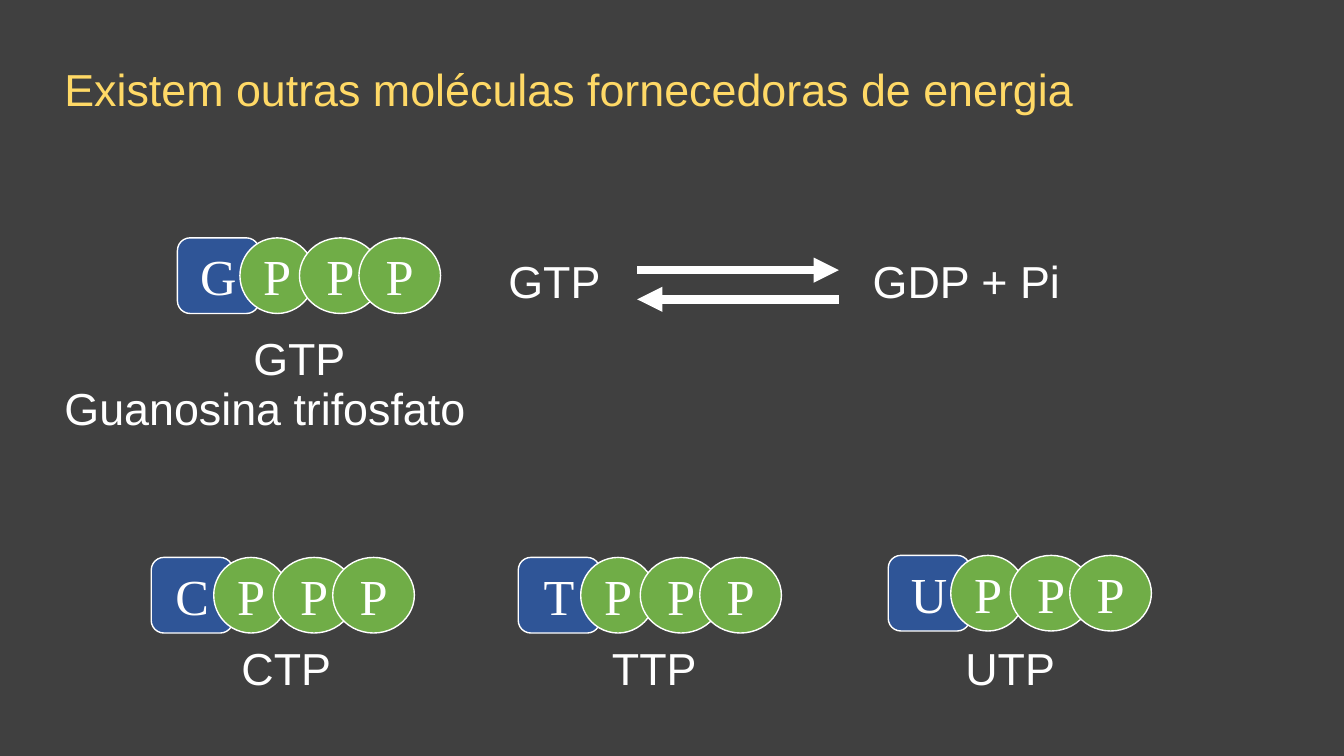
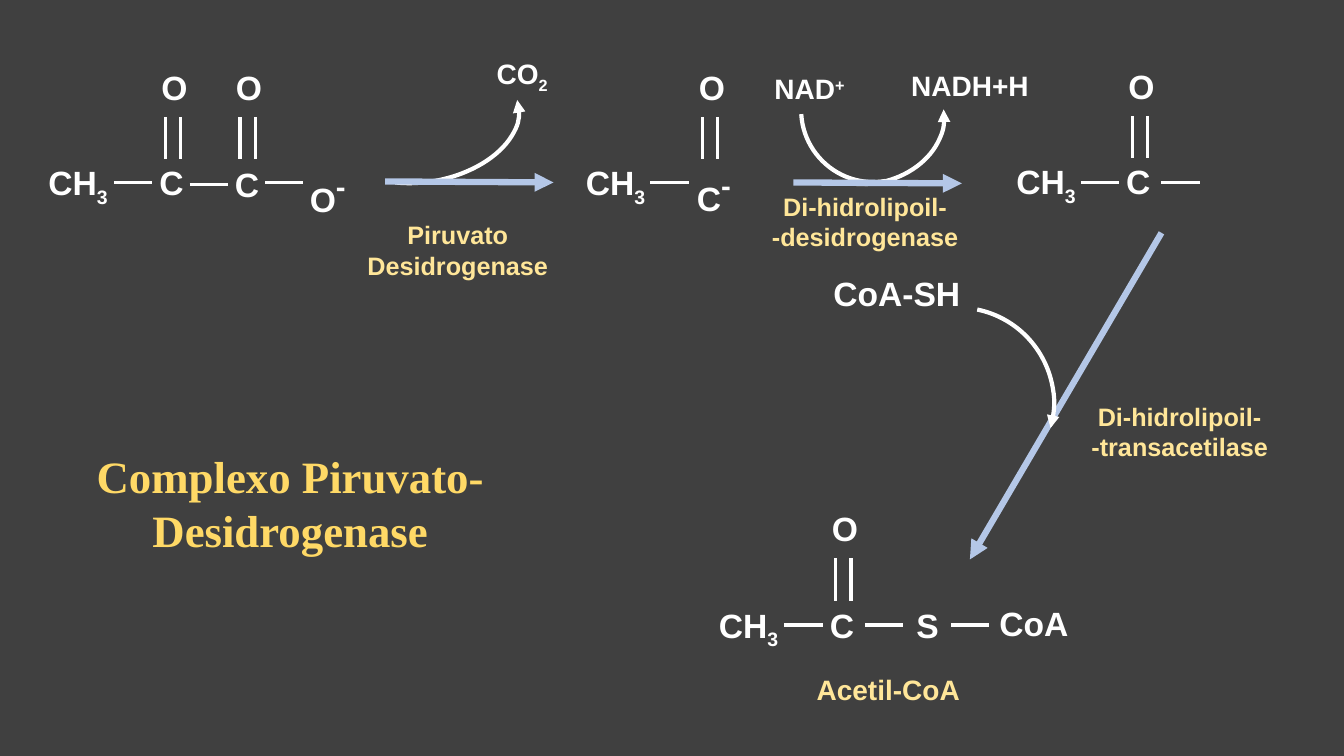
"""Build two slides on energy carriers and the pyruvate dehydrogenase complex."""
from dataclasses import dataclass
from typing import Any

import lxml.etree
import pptx
import pptx.dml.color
import pptx.enum.shapes
import pptx.enum.text
import pptx.oxml.ns
import pptx.util

RGBColor = pptx.dml.color.RGBColor
Inches = pptx.util.Inches
Pt = pptx.util.Pt
Shapes = pptx.enum.shapes.MSO_SHAPE
Align = pptx.enum.text.PP_ALIGN

BACKGROUND = RGBColor(0x40, 0x40, 0x40)
WHITE = RGBColor(0xFF, 0xFF, 0xFF)
TITLE_GOLD = RGBColor(0xFF, 0xD9, 0x66)
ENZYME_GOLD = RGBColor(0xFF, 0xE6, 0x99)
BASE_BLUE = RGBColor(0x2F, 0x55, 0x97)
PHOSPHATE_GREEN = RGBColor(0x70, 0xAD, 0x47)
REACTION_BLUE = RGBColor(0xB4, 0xC7, 0xE7)
SANS, SERIF = "Arial", "Times New Roman"
TITLE_SIZE = 32
BOND_LENGTH = 0.38
SUB, SUPER = -25, 30


@dataclass(frozen=True)
class Label:
    text: str
    left: float
    top: float
    width: float
    script: str = ""
    baseline: int = 0
    script_size: float | None = None


@dataclass(frozen=True)
class Nucleotide:
    base: str
    left: float
    top: float


@dataclass(frozen=True)
class Arc:
    left: float
    top: float
    width: float
    height: float
    rotation: float
    start: float
    end: float
    arrow: bool = True
    flipped: bool = False


@dataclass(frozen=True)
class Segment:
    x1: float
    y1: float
    x2: float
    y2: float


def write_text(frame: Any, text: str, *, size: float, color: RGBColor = WHITE,
               font: str = SANS, bold: bool = False, align: Any = Align.CENTER,
               script: str = "", baseline: int = 0, script_size: float | None = None) -> None:
    """Fill a frame with one paragraph per line and an optional raised or lowered ending."""
    frame.word_wrap = True
    for index, line in enumerate(text.split("\n")):
        paragraph = frame.paragraphs[0] if index == 0 else frame.add_paragraph()
        paragraph.alignment = align
        pieces = [(line, size, 0)]
        if script:
            pieces.append((script, script_size or size, baseline))
        for content, points, shift in pieces:
            run = paragraph.add_run()
            run.text = content
            run.font.size = Pt(points)
            run.font.name = font
            run.font.bold = bold
            run.font.color.rgb = color
            if shift:
                run.font._element.set("baseline", str(shift * 1000))


def add_label(slide: Any, label: Label, *, size: float, lines: int = 1, **style: Any) -> None:
    """Place a text box whose height follows its number of lines."""
    height = 0.1 + lines * size * 1.2 / 72
    box = slide.shapes.add_textbox(Inches(label.left), Inches(label.top),
                                   Inches(label.width), Inches(height))
    write_text(box.text_frame, label.text, size=size, script=label.script,
               baseline=label.baseline, script_size=label.script_size, **style)
    box.text_frame.auto_size = pptx.enum.text.MSO_AUTO_SIZE.SHAPE_TO_FIT_TEXT


def add_arrowhead(line: Any, end: str) -> None:
    """Put a triangle on the given end of a line."""
    head = lxml.etree.SubElement(line._get_or_add_ln(), pptx.oxml.ns.qn(f"a:{end}"))
    head.set("type", "triangle")


def add_segment(slide: Any, segment: Segment, *, color: RGBColor = WHITE,
                width: float = 2.25, arrow: bool = False) -> None:
    """Draw a straight bond or reaction arrow."""
    connector = slide.shapes.add_connector(
        pptx.enum.shapes.MSO_CONNECTOR.STRAIGHT, Inches(segment.x1), Inches(segment.y1),
        Inches(segment.x2), Inches(segment.y2))
    connector.line.color.rgb = color
    connector.line.width = Pt(width)
    if arrow:
        add_arrowhead(connector.line, "tailEnd")
    lxml.etree.SubElement(connector._element.spPr, pptx.oxml.ns.qn("a:effectLst"))


def add_arc(slide: Any, arc: Arc) -> None:
    """Draw the curved path of a cofactor or by-product."""
    curve = slide.shapes.add_shape(Shapes.ARC, Inches(arc.left), Inches(arc.top),
                                   Inches(arc.width), Inches(arc.height))
    curve.adjustments[0] = arc.start
    curve.adjustments[1] = arc.end
    curve.rotation = arc.rotation
    curve.shadow.inherit = False
    curve.fill.background()
    curve.line.color.rgb = WHITE
    curve.line.width = Pt(3)
    if arc.flipped:
        curve._element.spPr.find(pptx.oxml.ns.qn("a:xfrm")).set("flipV", "1")
    if arc.arrow:
        add_arrowhead(curve.line, "headEnd")


def add_nucleotide(slide: Any, nucleotide: Nucleotide) -> None:
    """Draw a base followed by three overlapping phosphates."""
    group = slide.shapes.add_group_shape()
    parts = [(nucleotide.base, Shapes.ROUNDED_RECTANGLE, BASE_BLUE, 0, 0.81)]
    parts += [("P", Shapes.OVAL, PHOSPHATE_GREEN, offset, width)
              for offset, width in ((0.62, 0.74), (1.21, 0.81), (1.8, 0.81))]
    for letter, outline, color, offset, width in parts:
        unit = group.shapes.add_shape(outline, Inches(nucleotide.left + offset),
                                      Inches(nucleotide.top), Inches(width), Inches(0.75))
        unit.shadow.inherit = False
        unit.fill.solid()
        unit.fill.fore_color.rgb = color
        unit.line.color.rgb = WHITE
        unit.line.width = Pt(1)
        unit.text_frame.vertical_anchor = pptx.enum.text.MSO_ANCHOR.MIDDLE
        write_text(unit.text_frame, letter, size=36, font=SERIF)


def add_carbonyl(slide: Any, left: float, top: float) -> None:
    """Draw an oxygen atom above its double bond."""
    add_label(slide, Label("O", left, top, 0.52), size=24, bold=True)
    for offset in (0.17, 0.32):
        add_segment(slide, Segment(left + offset, top + 0.55, left + offset, top + 0.97))


def build_energy_slide(slide: Any) -> None:
    """Show the other energy-supplying molecules."""
    add_label(slide, Label("Existem outras moléculas fornecedoras de energia", 0.54, 0.56, 12.23),
              size=TITLE_SIZE, color=TITLE_GOLD, align=Align.LEFT)
    for nucleotide in (Nucleotide("G", 1.76, 2.36), Nucleotide("C", 1.5, 5.53),
                       Nucleotide("T", 5.14, 5.53), Nucleotide("U", 8.81, 5.51)):
        add_nucleotide(slide, nucleotide)
    add_label(slide, Label("Guanosina trifosfato", 0.54, 3.73, 8.05), size=32, align=Align.LEFT)
    for label in (Label("GTP", 2.17, 3.23, 1.6), Label("CTP", 2.04, 6.31, 1.6),
                  Label("TTP", 5.69, 6.31, 1.6), Label("UTP", 9.22, 6.31, 1.6),
                  Label("GTP", 4.7, 2.47, 1.6), Label("GDP + Pi", 8.38, 2.47, 2.41)):
        add_label(slide, label, size=32)
    for direction in (Segment(6.32, 2.68, 8.32, 2.68), Segment(8.32, 2.97, 6.32, 2.97)):
        add_segment(slide, direction, width=6, arrow=True)


def build_complex_slide(slide: Any) -> None:
    """Show the reactions of the pyruvate dehydrogenase complex."""
    for arc in (Arc(7.94, 0.4, 1.42, 1.4, 228.5, 126.63, 185.35, arrow=False),
                Arc(7.86, 0.61, 1.51, 1.21, 168.7, 108.86, 179.73),
                Arc(3.3, 0.64, 1.86, 1.16, 168.7, 106.23, 185.35)):
        add_arc(slide, arc)

    for left, top in ((0.34, 1.56), (5.67, 1.56), (9.94, 1.55), (6.99, 5.95)):
        add_label(slide, Label("CH", left, top, 0.87, "3", SUB), size=24, bold=True)
    for atom in (Label("C", 1.44, 1.56, 0.52), Label("C", 2.19, 1.58, 0.52),
                 Label("O", 2.94, 1.56, 0.62, "-", SUPER, 36),
                 Label("C", 6.77, 1.55, 0.62, "-", SUPER, 36),
                 Label("C", 11.03, 1.55, 0.52), Label("C", 8.09, 5.95, 0.52),
                 Label("S", 8.94, 5.95, 0.52), Label("CoA", 9.76, 5.93, 0.99),
                 Label("CoA-SH", 7.98, 2.66, 1.83)):
        add_label(slide, atom, size=24, bold=True)
    for left, top in ((1.47, 0.61), (2.21, 0.61), (6.8, 0.61), (11.06, 0.6), (8.12, 4.99)):
        add_carbonyl(slide, left, top)
    for left, level in ((1.13, 1.81), (1.88, 1.83), (2.63, 1.81), (6.45, 1.81), (10.72, 1.81),
                        (11.52, 1.81), (7.78, 6.2), (8.58, 6.2), (9.43, 6.2)):
        add_segment(slide, Segment(left, level, left + BOND_LENGTH, level))

    for reaction in (Segment(3.82, 1.8, 5.49, 1.81), Segment(7.87, 1.81, 9.54, 1.82),
                     Segment(11.52, 2.31, 9.62, 5.55)):
        add_segment(slide, reaction, color=REACTION_BLUE, width=4.5, arrow=True)
    add_arc(slide, Arc(8.61, 3.07, 1.86, 1.8, 228.5, 126.63, 185.35, flipped=True))

    for cofactor in (Label("CO", 4.66, 0.51, 1.04, "2", SUB), Label("NADH+H", 8.82, 0.63, 1.6),
                     Label("NAD", 7.51, 0.66, 1.04, "+", SUPER)):
        add_label(slide, cofactor, size=20, bold=True)
    add_label(slide, Label("Acetil-CoA", 7.65, 6.62, 2.32), size=20, color=ENZYME_GOLD, bold=True)
    add_label(slide, Label("Complexo Piruvato-Desidrogenase", 0.68, 4.4, 4.4), size=TITLE_SIZE,
              lines=2, color=TITLE_GOLD, font=SERIF, bold=True)
    for enzyme in (Label("Piruvato\nDesidrogenase", 3.38, 2.13, 2.32),
                   Label("Di-hidrolipoil-\n-desidrogenase", 7.42, 1.85, 2.32),
                   Label("Di-hidrolipoil-\n-transacetilase", 10.54, 3.93, 2.32)):
        add_label(slide, enzyme, size=18, lines=2, color=ENZYME_GOLD, bold=True)


def main() -> None:
    """Create and save the presentation."""
    presentation = pptx.Presentation()
    presentation.slide_width = Inches(13.33)
    presentation.slide_height = Inches(7.5)
    backdrop = presentation.slide_master.background.fill
    backdrop.solid()
    backdrop.fore_color.rgb = BACKGROUND
    for build in (build_energy_slide, build_complex_slide):
        build(presentation.slides.add_slide(presentation.slide_layouts[6]))
    presentation.save("out.pptx")


if __name__ == "__main__":
    main()
